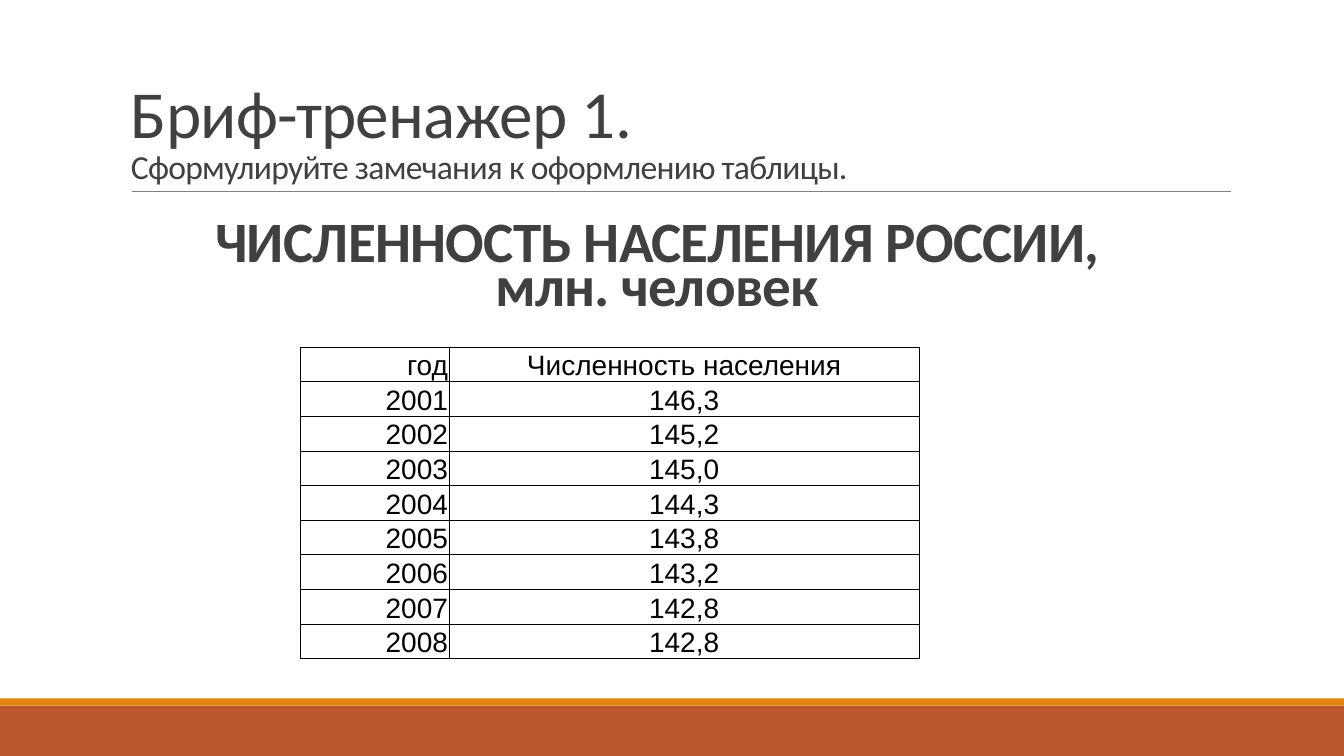
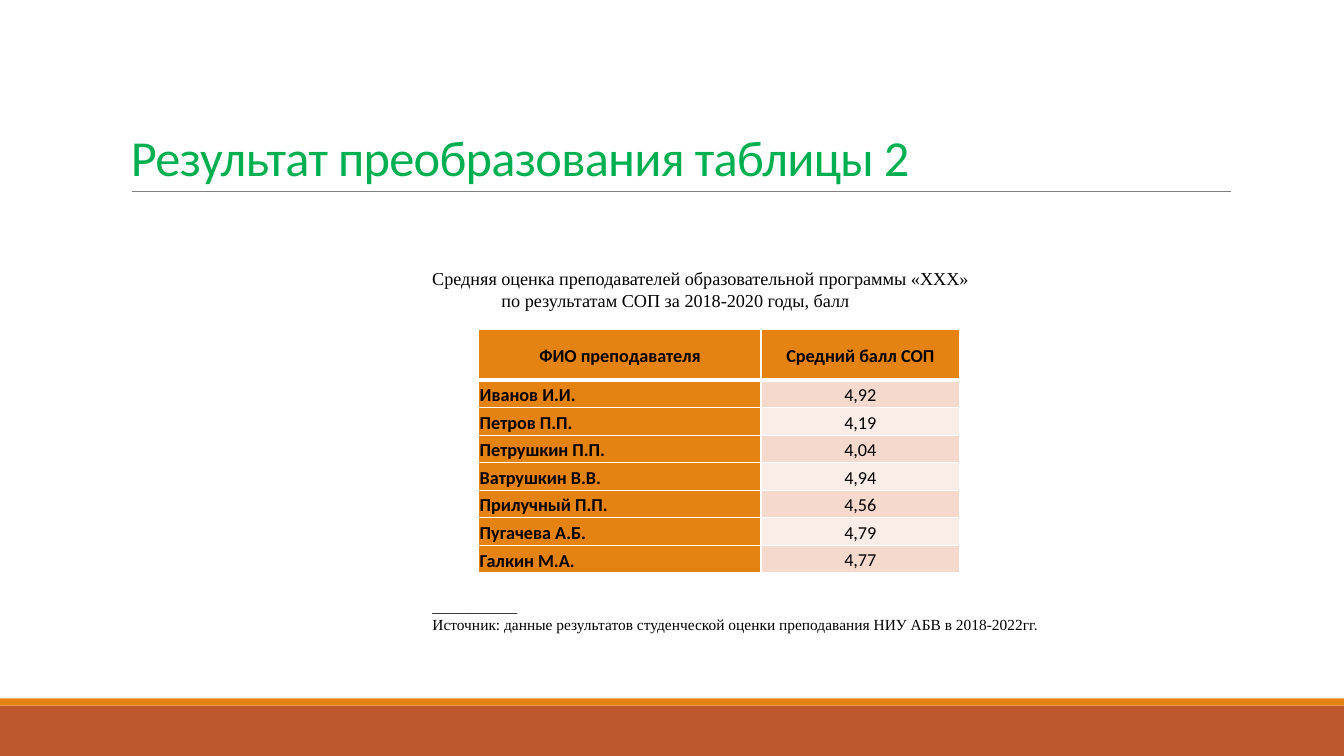
from pptx import Presentation
from pptx.dml.color import RGBColor
from pptx.enum.shapes import MSO_CONNECTOR, MSO_SHAPE
from pptx.enum.text import MSO_ANCHOR as Anchor, PP_ALIGN as Align
from pptx.oxml.ns import qn
from pptx.util import Pt
from lxml.etree import SubElement

WIDE, HIGH = 960, 540
INK = {
    "rust": "BD582C", "orange": "E48312", "rule": "808080", "text": "404040",
    "green": "00B050", "black": "000000", "white": "FFFFFF",
    "rose": "F5D9CC", "pale": "FAEDE7",
}
PEOPLE = [
    ("год", "Численность населения"),
    ("2001", "146,3"), ("2002", "145,2"), ("2003", "145,0"), ("2004", "144,3"),
    ("2005", "143,8"), ("2006", "143,2"), ("2007", "142,8"), ("2008", "142,8"),
]
MARKS = [
    ("ФИО преподавателя", "Средний балл СОП"),
    ("Иванов И.И.", "4,92"), ("Петров П.П.", "4,19"),
    ("Петрушкин П.П.", "4,04"), ("Ватрушкин В.В.", "4,94"),
    ("Прилучный П.П.", "4,56"), ("Пугачева А.Б.", "4,79"),
    ("Галкин М.А.", "4,77"),
]


def tint(name):
    return RGBColor.from_string(INK[name])


def style(para, size, font="Calibri", ink="black", bold=False,
          align=Align.LEFT, lead=1.0, track=0, indent=0):
    """Format a paragraph and its runs; track is letter spacing in points."""
    para.alignment = align
    para.line_spacing = lead
    if indent:
        para._p.get_or_add_pPr().set("indent", str(Pt(indent)))
    for run in para.runs:
        run.font.size = Pt(size)
        run.font.name = font
        run.font.bold = bold
        run.font.color.rgb = tint(ink)
        if track:
            run._r.get_or_add_rPr().set("spc", str(round(track * 100)))


def add_text(slide, box, text, anchor, **look):
    frame = slide.shapes.add_textbox(*map(Pt, box)).text_frame
    frame.word_wrap = True
    frame.vertical_anchor = anchor
    frame.text = text
    for para in frame.paragraphs:
        style(para, **look)
    return frame


def add_title(slide, text, size, ink="text"):
    return add_text(slide, (86.4, 22.3, 792, 114.5), text, Anchor.BOTTOM,
                    size=size, ink=ink, lead=0.85, track=-0.5)


def add_band(slide, top, height, ink):
    band = slide.shapes.add_shape(
        MSO_SHAPE.RECTANGLE, 0, Pt(top), Pt(WIDE), Pt(height))
    band.shadow.inherit = False
    band.fill.solid()
    band.fill.fore_color.rgb = tint(ink)
    band.line.fill.background()


def add_rule(slide, left, right, y):
    rule = slide.shapes.add_connector(
        MSO_CONNECTOR.STRAIGHT, Pt(left), Pt(y), Pt(right), Pt(y))
    rule.line.color.rgb = tint("rule")
    rule.line.width = Pt(0.5)
    SubElement(rule._element.spPr, qn("a:effectLst"))


def add_page(deck):
    """Add a blank slide with the shared bands and title rule."""
    slide = deck.slides.add_slide(deck.slide_layouts[6])
    add_band(slide, 504, 36, "rust")
    add_band(slide, 498.8, 5.2, "orange")
    add_rule(slide, 94.3, 879, 136.8)
    return slide


def set_edges(cell, ink, widths):
    """Draw the left, right, top and bottom borders of a cell."""
    props = cell._tc.get_or_add_tcPr()
    for side, width in zip("LRTB", widths):
        edge = SubElement(props, qn("a:ln" + side), w=str(Pt(width)))
        fill = SubElement(edge, qn("a:solidFill"))
        SubElement(fill, qn("a:srgbClr"), val=INK[ink])


def add_grid(slide, left, top, cols, heights, rows, edge, look):
    """Add a table; look(row, col) gives edges, fill, anchor, pad and text."""
    table = slide.shapes.add_table(
        len(rows), len(cols), Pt(left), Pt(top),
        Pt(sum(cols)), Pt(sum(heights))).table
    table.first_row = table.horz_banding = False
    for col, width in zip(table.columns, cols):
        col.width = Pt(width)
    for row, height in zip(table.rows, heights):
        row.height = Pt(height)
    for r, row in enumerate(rows):
        for c, text in enumerate(row):
            cell = table.cell(r, c)
            edges, fill, anchor, pad, font = look(r, c)
            set_edges(cell, edge, edges)
            if fill:
                cell.fill.solid()
                cell.fill.fore_color.rgb = tint(fill)
            else:
                cell.fill.background()
            cell.vertical_anchor = anchor
            (cell.margin_left, cell.margin_top,
             cell.margin_right, cell.margin_bottom) = map(Pt, pad)
            cell.text_frame.text = text
            style(cell.text_frame.paragraphs[0], **font)


def plain_look(row, col):
    font = dict(size=20, font="Arial", align=Align.CENTER if col else Align.RIGHT)
    return [0.5] * 4, None, Anchor.BOTTOM, (0.7, 0.7, 0.7, 0), font


def band_look(row, col):
    head, name = row == 0, col == 0
    edges = [1, 1, 3 if row == 1 else 1, 3 if head else 1]
    font = dict(size=13, bold=head or name, lead=1.15, align=Align.CENTER)
    if name and not head:
        font["align"] = Align.LEFT
        return edges, "orange", Anchor.BOTTOM, [0.7] * 4, font
    fill = "orange" if head else "rose" if row % 2 else "pale"
    return edges, fill, Anchor.MIDDLE, (5, 0, 5, 0), font


def task_page(deck):
    slide = add_page(deck)
    frame = add_title(
        slide, "Бриф-тренажер 1.\vСформулируйте замечания к оформлению таблицы.", 48)
    frame.paragraphs[0].runs[1].font.size = Pt(24)
    add_text(slide, (145.4, 157, 648, 72),
             "ЧИСЛЕННОСТЬ НАСЕЛЕНИЯ РОССИИ, млн. человек", Anchor.BOTTOM,
             size=40.8, ink="text", bold=True, align=Align.CENTER,
             lead=0.65, track=-0.5)
    add_grid(slide, 214.5, 247.9, (106.2, 336), [23] * len(PEOPLE),
             PEOPLE, "black", plain_look)


def result_page(deck):
    slide = add_page(deck)
    add_title(slide, "Результат преобразования таблицы 2", 36, "green")
    add_grid(slide, 342, 235.5, (201.6, 141.8),
             [36] + [19.7] * (len(MARKS) - 1), MARKS, "white", band_look)
    serif = dict(font="Times New Roman", indent=35.4)
    add_text(slide, (259.2, 187.2, 446.4, 38.9),
             "Средняя оценка преподавателей образовательной программы «ХХХ»"
             "\vпо результатам СОП за 2018-2020 годы, балл",
             Anchor.MIDDLE, size=13, align=Align.CENTER, **serif)
    add_text(slide, (266.4, 422.6, 554.4, 33.8),
             "___________\nИсточник: данные результатов студенческой оценки "
             "преподавания НИУ АБВ в 2018-2022гг.",
             Anchor.MIDDLE, size=11, **serif)


def main():
    deck = Presentation()
    deck.slide_width, deck.slide_height = Pt(WIDE), Pt(HIGH)
    task_page(deck)
    result_page(deck)
    deck.save("out.pptx")


if __name__ == "__main__":
    main()
